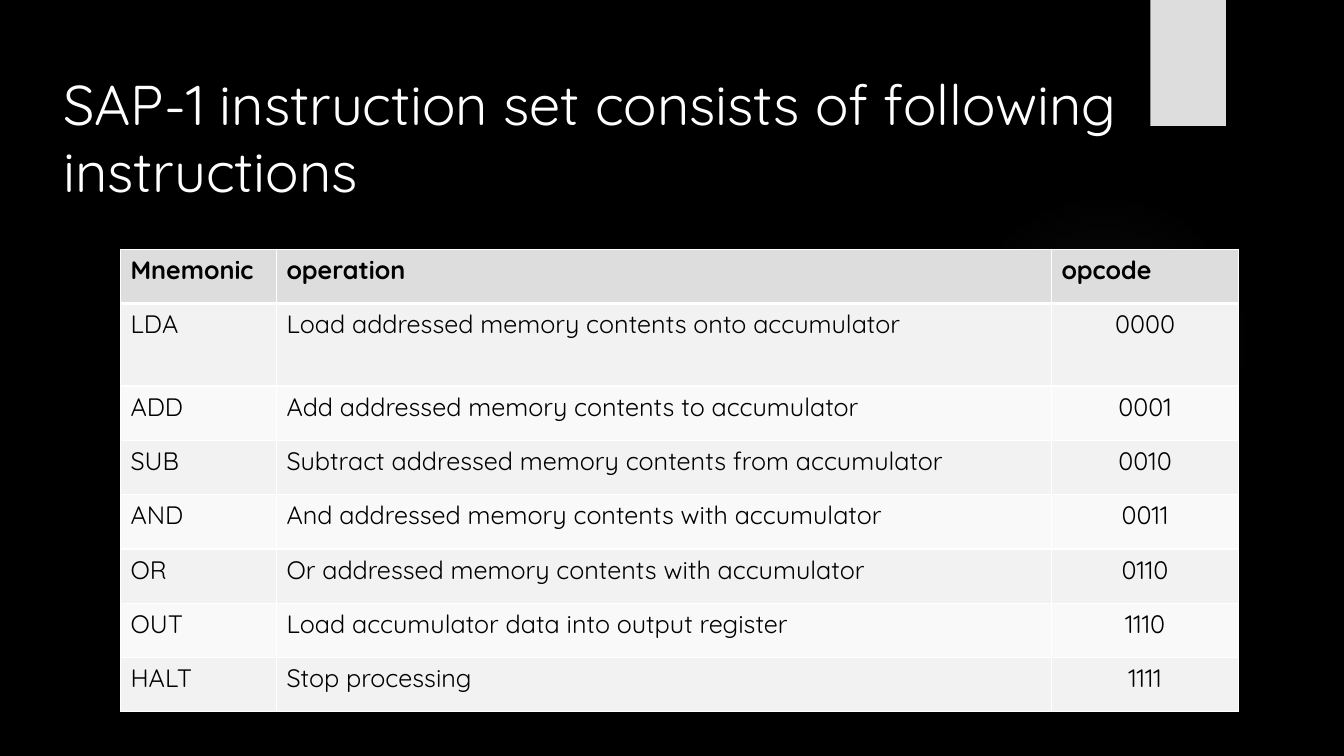
import lxml.etree
import pptx
import pptx.dml.color
import pptx.enum.shapes
import pptx.enum.text
import pptx.oxml
import pptx.oxml.ns
import pptx.util

Pt = pptx.util.Pt
RGBColor = pptx.dml.color.RGBColor
SHAPES = pptx.enum.shapes.MSO_SHAPE
ALIGN = pptx.enum.text.PP_ALIGN

BLACK = RGBColor(0x00, 0x00, 0x00)
WHITE = RGBColor(0xFF, 0xFF, 0xFF)
GLOW = RGBColor(0x5F, 0x5F, 0x5F)
HEADER = RGBColor(0xDD, 0xDD, 0xDD)
BANDS = [RGBColor(0xF2, 0xF2, 0xF2), RGBColor(0xF9, 0xF9, 0xF9)]
FONT = "Quicksand"
NAMESPACE = pptx.oxml.ns.nsdecls("a")


def add_run(paragraph, text, size, color, bold=False):
    run = paragraph.add_run()
    run.text = text
    run.font.name = FONT
    run.font.size = Pt(size)
    run.font.bold = bold
    run.font.color.rgb = color


def add_border(cell, side, width):
    cell._tc.get_or_add_tcPr().append(pptx.oxml.parse_xml(
        f'<a:{side} {NAMESPACE} w="{Pt(width)}"><a:solidFill>'
        f'<a:srgbClr val="{WHITE}"/></a:solidFill></a:{side}>'))


presentation = pptx.Presentation()
presentation.slide_width = Pt(960)
presentation.slide_height = Pt(540)
slide = presentation.slides.add_slide(presentation.slide_layouts[6])
slide.background.fill.solid()
slide.background.fill.fore_color.rgb = BLACK

# Soft glow fading out from its centre
glow = slide.shapes.add_shape(SHAPES.OVAL, Pt(677.5), Pt(131.8), Pt(221.8), Pt(221.8))
glow.shadow.inherit = False
glow.line.fill.background()
stops = "".join(
    f'<a:gs pos="{position * 1000}"><a:srgbClr val="{GLOW}">'
    f'<a:alpha val="{opacity * 1000}"/></a:srgbClr></a:gs>'
    for position, opacity in [(0, 7), (36, 6), (69, 0)])
glow.fill.background()
properties = glow._element.spPr
properties.replace(properties.find(pptx.oxml.ns.qn("a:noFill")), pptx.oxml.parse_xml(
    f'<a:gradFill {NAMESPACE}><a:gsLst>{stops}</a:gsLst><a:path path="circle">'
    '<a:fillToRect l="50000" t="50000" r="50000" b="50000"/></a:path></a:gradFill>'))

# Tab at the top edge
tab = slide.shapes.add_shape(SHAPES.RECTANGLE, Pt(821.7), Pt(0), Pt(54), Pt(90))
tab.shadow.inherit = False
tab.fill.solid()
tab.fill.fore_color.rgb = HEADER
tab.line.fill.background()
effects = tab._element.spPr.find(pptx.oxml.ns.qn("a:effectLst"))
effects.append(pptx.oxml.parse_xml(
    f'<a:outerShdw {NAMESPACE} blurRad="{Pt(3)}" dist="{Pt(1.4)}" dir="5400000">'
    f'<a:srgbClr val="{BLACK}"><a:alpha val="40000"/></a:srgbClr></a:outerShdw>'))

# Title
title = slide.shapes.add_textbox(Pt(38.2), Pt(46.1), Pt(803.5), Pt(104.4))
title.text_frame.word_wrap = False
title.text_frame.auto_size = pptx.enum.text.MSO_AUTO_SIZE.SHAPE_TO_FIT_TEXT
add_run(title.text_frame.paragraphs[0], "SAP-1 instruction set consists of following", 40, WHITE)
add_run(title.text_frame.add_paragraph(), "instructions", 40, WHITE)

# Instruction table
instructions = [
    ("Mnemonic", "operation", "opcode"),
    ("LDA", "Load addressed memory contents onto accumulator", "0000"),
    ("ADD", "Add addressed memory contents to accumulator", "0001"),
    ("SUB", "Subtract addressed memory contents from accumulator", "0010"),
    ("AND", "And addressed memory contents with accumulator", "0011"),
    ("OR", "Or addressed memory contents with accumulator", "0110"),
    ("OUT", "Load accumulator data into output register", "1110"),
    ("HALT", "Stop processing", "1111"),
]
table = slide.shapes.add_table(
    len(instructions), 3, Pt(86.1), Pt(178), Pt(798.8), Pt(330.7)).table
for column, width in zip(table.columns, [111.4, 553.6, 133.8]):
    column.width = Pt(width)

for row_index, texts in enumerate(instructions):
    is_header = row_index == 0
    table.rows[row_index].height = Pt(59 if row_index == 1 else 38.8)
    for column_index, text in enumerate(texts):
        cell = table.cell(row_index, column_index)
        for side in ["lnL", "lnR", "lnT", "lnB"]:
            thick = (is_header and side == "lnB") or (row_index == 1 and side == "lnT")
            add_border(cell, side, 3 if thick else 1)
        cell.fill.solid()
        cell.fill.fore_color.rgb = HEADER if is_header else BANDS[(row_index - 1) % 2]
        paragraph = cell.text_frame.paragraphs[0]
        if column_index == 2 and not is_header:
            paragraph.alignment = ALIGN.CENTER
        add_run(paragraph, text, 18, BLACK, is_header)

presentation.save("out.pptx")
